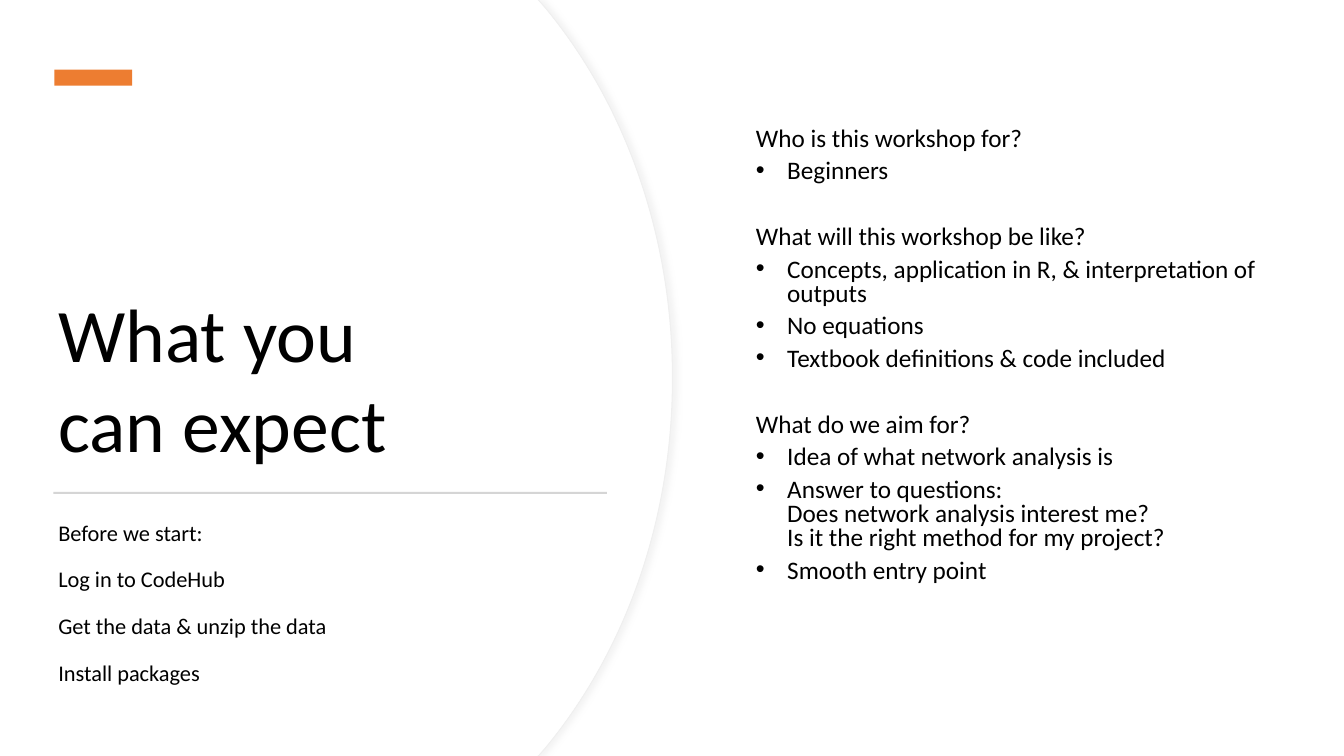
"""Build the workshop expectations slide."""
import pptx
import pptx.util
import pptx.dml.color
import pptx.enum.shapes
import pptx.enum.text
from lxml import etree
from pptx.oxml.ns import qn

Inches = pptx.util.Inches
Pt = pptx.util.Pt
RGBColor = pptx.dml.color.RGBColor

BLACK = RGBColor(0x00, 0x00, 0x00)
WHITE = RGBColor(0xFF, 0xFF, 0xFF)
EDGE = RGBColor(0xEF, 0xEF, 0xEF)
SHADOW = RGBColor(0xD9, 0xD9, 0xD9)
RULE = RGBColor(0xD5, 0xD5, 0xD5)
ORANGE = RGBColor(0xED, 0x7D, 0x31)

INTRO = ["Before we start:", "Log in to CodeHub",
         "Get the data & unzip the data", "Install packages"]
SECTIONS = [
    ("Who is this workshop for?", ["Beginners"]),
    ("What will this workshop be like?", [
        "Concepts, application in R, & interpretation of outputs",
        "No equations",
        "Textbook definitions & code included"]),
    ("What do we aim for?", [
        "Idea of what network analysis is",
        "Answer to questions:\vDoes network analysis interest me?"
        "\vIs it the right method for my project?",
        "Smooth entry point"]),
]


def add_text(tf, text, size=18, spacing=0.9, before=0, after=6, bullet=False):
    """Append one formatted paragraph to a text frame."""
    first = not tf.paragraphs[0].runs
    p = tf.paragraphs[0] if first else tf.add_paragraph()
    p.text = text
    p.line_spacing = spacing
    p.space_before = Pt(0 if first else before)
    p.space_after = Pt(after)
    if bullet:
        pPr = p._p.get_or_add_pPr()
        pPr.set("marL", str(Inches(0.31)))
        pPr.set("indent", str(-Inches(0.31)))
        etree.SubElement(pPr, qn("a:buFont")).set("typeface", "Arial")
        etree.SubElement(pPr, qn("a:buChar")).set("char", "•")
    for r in p.runs:
        r.font.name = "Calibri"
        r.font.size = Pt(size)
        r.font.color.rgb = BLACK


def merge_curve(lines):
    """Turn three consecutive line segments into one cubic curve."""
    curve = etree.Element(qn("a:cubicBezTo"))
    lines[0].addprevious(curve)
    for line in lines:
        curve.append(line[0])
        line.getparent().remove(line)


class Deck:
    """Hold the presentation style and the current slide."""

    def __init__(self):
        self.prs = pptx.Presentation()
        self.prs.slide_width = Inches(13.33)
        self.prs.slide_height = Inches(7.5)
        self.s = self.prs.slides.add_slide(self.prs.slide_layouts[6])

    def paint(self, sp, fill, line=None):
        """Set the fill and outline of a shape."""
        sp.shadow.inherit = False
        sp.fill.solid()
        sp.fill.fore_color.rgb = fill
        if line is None:
            sp.line.fill.background()
        else:
            sp.line.color.rgb = line
            sp.line.width = Pt(0.75)

    def bar(self, left, top, width, height, fill):
        """Add a plain rectangle."""
        sp = self.s.shapes.add_shape(
            pptx.enum.shapes.MSO_SHAPE.RECTANGLE,
            Inches(left), Inches(top), Inches(width), Inches(height))
        self.paint(sp, fill)

    def panel(self, right, line=None, shadow=None):
        """Add the left panel with its curved right edge."""
        upper = [(right - 1.33, 0), (right - 1.26, 0.08), (right - 0.48, 1.02),
                 (right, 2.32), (right, 3.75)]
        lower = [(x, 7.5 - y) for x, y in reversed(upper[:-1])]
        outline = [*upper, *lower, (0, 7.5)]
        fb = self.s.shapes.build_freeform(0, 0)
        fb.add_line_segments([(Inches(x), Inches(y)) for x, y in outline], close=True)
        sp = fb.convert_to_shape()
        lines = list(sp._element.iter(qn("a:lnTo")))
        merge_curve(lines[2:5])
        merge_curve(lines[5:8])
        self.paint(sp, WHITE, line)
        if shadow is not None:
            effects = sp._element.spPr.find(qn("a:effectLst"))
            outer = etree.SubElement(effects, qn("a:outerShdw"), blurRad=str(Pt(4)),
                                     dist=str(Pt(3)), dir="0", algn="l",
                                     rotWithShape="0")
            color = etree.SubElement(outer, qn("a:srgbClr"), val=str(shadow))
            etree.SubElement(color, qn("a:alpha"), val="30000")

    def box(self, left, top, width, height, anchor="TOP"):
        """Add a wrapping text box and return its text frame."""
        tf = self.s.shapes.add_textbox(
            Inches(left), Inches(top), Inches(width), Inches(height)).text_frame
        tf.word_wrap = True
        tf.vertical_anchor = pptx.enum.text.MSO_ANCHOR[anchor]
        return tf


def main():
    """Compose and save the slide."""
    deck = Deck()
    deck.panel(6.67, line=EDGE, shadow=SHADOW)
    deck.panel(6.66)

    tf = deck.box(0.48, 1.67, 5.49, 3.03, anchor="BOTTOM")
    for text in ("What you", "can expect"):
        add_text(tf, text, size=54)

    tf = deck.box(0.48, 5.13, 5.38, 1.46)
    for text in INTRO:
        add_text(tf, text, size=16, before=10)

    deck.bar(0.54, 0.69, 0.77, 0.16, ORANGE)
    deck.bar(0.53, 4.88, 5.49, 0.02, RULE)

    tf = deck.box(7.4, 1.22, 5.5, 5.05)
    for heading, items in SECTIONS:
        add_text(tf, heading, spacing=0.8, before=23.5)
        for item in items:
            add_text(tf, item, spacing=0.8, bullet=True)

    deck.prs.save("out.pptx")


if __name__ == "__main__":
    main()
